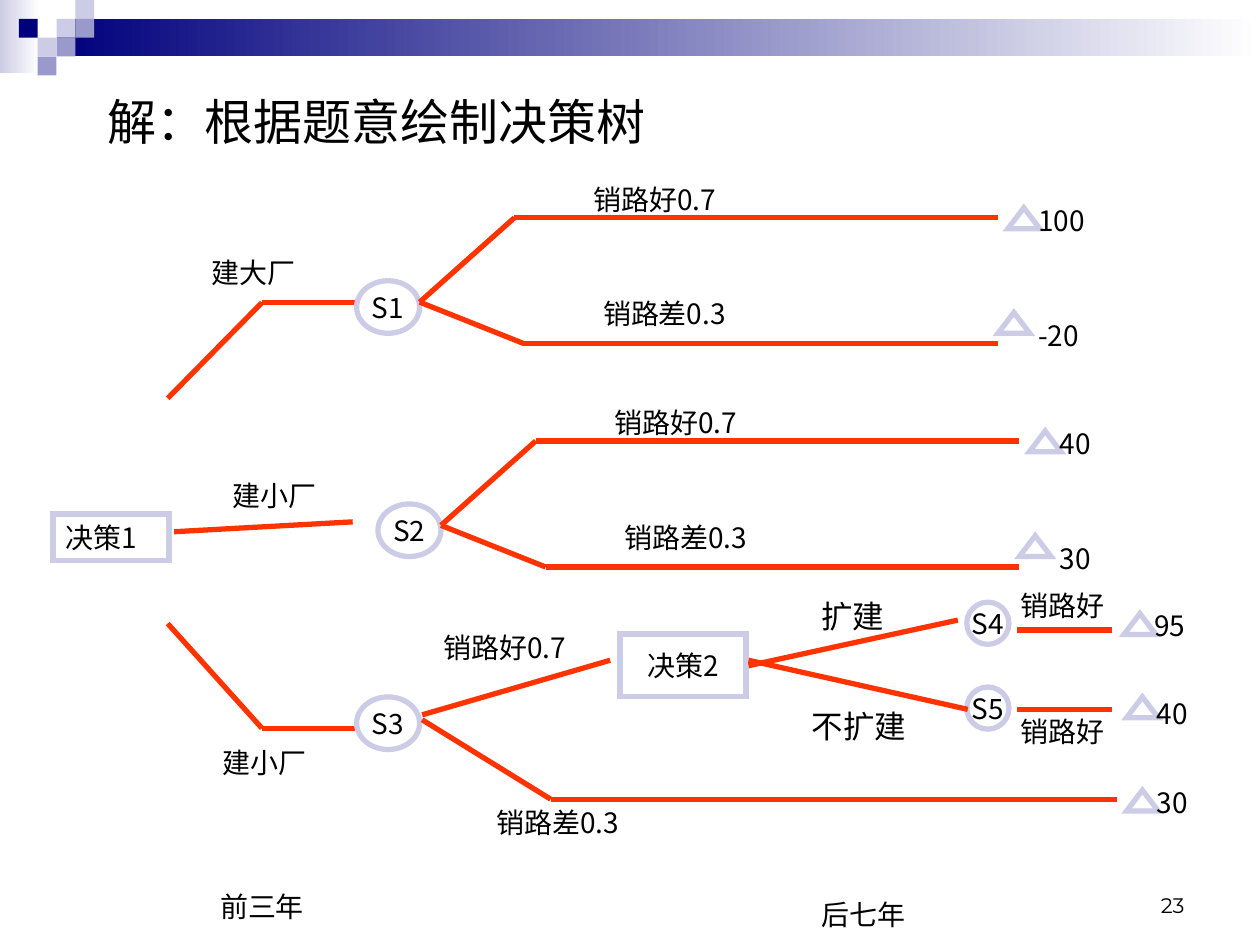
from dataclasses import dataclass
from itertools import pairwise

from lxml import etree
from pptx import Presentation
from pptx.dml.color import RGBColor
from pptx.enum.shapes import MSO_CONNECTOR, MSO_SHAPE
from pptx.enum.text import MSO_ANCHOR, MSO_AUTO_SIZE, PP_ALIGN
from pptx.oxml.ns import qn
from pptx.util import Cm, Pt

RECTANGLE, OVAL, TRIANGLE = (
    MSO_SHAPE.RECTANGLE, MSO_SHAPE.OVAL, MSO_SHAPE.ISOSCELES_TRIANGLE)
STRAIGHT = MSO_CONNECTOR.STRAIGHT
LEFT, CENTER, RIGHT = PP_ALIGN.LEFT, PP_ALIGN.CENTER, PP_ALIGN.RIGHT
TOP, MIDDLE, BOTTOM = MSO_ANCHOR.TOP, MSO_ANCHOR.MIDDLE, MSO_ANCHOR.BOTTOM
FIT_TEXT = MSO_AUTO_SIZE.SHAPE_TO_FIT_TEXT


@dataclass(frozen=True)
class Theme:
    ink: RGBColor = RGBColor(0, 0, 0)
    white: RGBColor = RGBColor(255, 255, 255)
    navy: RGBColor = RGBColor(0, 0, 0x7D)
    mid: RGBColor = RGBColor(0x99, 0x99, 0xCC)
    pale: RGBColor = RGBColor(0xCC, 0xCC, 0xE6)
    branch: RGBColor = RGBColor(0xFF, 0x33, 0)
    body_font: str = "Noto Sans CJK SC"
    title_font: str = "Karla"
    number_font: str = "Montserrat"
    title: int = 28
    choice: int = 18
    body: int = 16
    number: int = 12
    stroke: int = 3


THEME = Theme()


def write(shape, text, size=THEME.body, font=THEME.body_font, align=LEFT, anchor=TOP):
    frame = shape.text_frame
    frame.word_wrap = False
    frame.vertical_anchor = anchor
    para = frame.paragraphs[0]
    para.text = text
    para.alignment = align
    para.font.size = Pt(size)
    para.font.name = font
    para.font.color.rgb = THEME.ink
    latin = para.font._element.find(qn("a:latin"))
    east_asian = etree.Element(qn("a:ea"), typeface=THEME.body_font)
    latin.addnext(east_asian)


def add_label(page, left, top, text, width=2.3, height=0.94, **style):
    box = page.shapes.add_textbox(Cm(left), Cm(top), Cm(width), Cm(height))
    write(box, text, **style)
    box.text_frame.auto_size = FIT_TEXT


def add_block(page, kind, left, top, width, height, fill):
    block = page.shapes.add_shape(kind, Cm(left), Cm(top), Cm(width), Cm(height))
    block.shadow.inherit = False
    block.fill.solid()
    block.fill.fore_color.rgb = fill
    block.line.fill.background()
    return block


def add_node(page, kind, left, top, width, height, text="", align=CENTER, anchor=MIDDLE):
    """Place a white, pale-edged node of the tree with sharp corners."""
    node = add_block(page, kind, left, top, width, height, THEME.white)
    node.line.color.rgb = THEME.pale
    node.line.width = Pt(THEME.stroke)
    edge = node._element.spPr.find(qn("a:ln"))
    etree.SubElement(edge, qn("a:miter"), lim="800000")
    if text:
        write(node, text, align=align, anchor=anchor)


def add_branch(page, left, top, *points):
    """Join points, given relative to left and top, by straight lines."""
    for (x1, y1), (x2, y2) in pairwise(points):
        line = page.shapes.add_connector(
            STRAIGHT, Cm(left + x1), Cm(top + y1), Cm(left + x2), Cm(top + y2))
        line.line.color.rgb = THEME.branch
        line.line.width = Pt(THEME.stroke)
        etree.SubElement(line._element.spPr, qn("a:effectLst"))


def add_payoff(page, left, top, value, gap=0.36, rise=0.21):
    add_node(page, TRIANGLE, left, top, 0.64, 0.42)
    add_label(page, left + gap, top - rise, value, width=0.51 + 0.34 * len(value))


def add_header(page, left, top):
    fade = add_block(page, RECTANGLE, left, top, 0.79, 1.47, THEME.pale)
    bar = add_block(page, RECTANGLE, left + 1.14, top + 0.38, 24.26, 0.76, THEME.navy)
    for block, start in ((fade, THEME.pale), (bar, THEME.navy)):
        block.fill.gradient()
        block.fill.gradient_angle = 0
        for stop, color, position in zip(
                block.fill.gradient_stops, (start, THEME.white), (0, 1)):
            stop.color.rgb = color
            stop.position = position
    step = 0.38
    squares = {
        THEME.pale: ((3, 1), (4, 0), (2, 2)),
        THEME.mid: ((4, 1), (3, 2), (2, 3)),
        THEME.navy: ((1, 1),),
    }
    for color, cells in squares.items():
        for column, row in cells:
            add_block(page, RECTANGLE, left + column * step, top + row * step,
                      step, step, color)


def add_root(page, left, top):
    add_node(page, RECTANGLE, left, top, 2.34, 0.94, "决策1", align=LEFT, anchor=TOP)
    add_branch(page, left, top, (2.31, -2.33), (4.21, -4.26), (6.12, -4.26))
    add_branch(page, left, top, (2.44, 0.36), (6.04, 0.16))
    add_branch(page, left, top, (2.31, 2.21), (4.21, 4.32), (6.12, 4.32))


def add_chance(page, left, top, name, plan, good, poor):
    """Place a chance node with its good and poor sales outcomes."""
    add_node(page, OVAL, left, top, 1.27, 1.06, name)
    add_label(page, left - 3.18, top - 0.64, plan, width=2.54)
    add_branch(page, left, top, (1.27, 0.43), (3.18, -1.27), (12.93, -1.27))
    add_branch(page, left, top, (1.27, 0.43), (3.38, 1.27), (12.93, 1.27))
    add_label(page, left + 4.52, top - 2.11, "销路好0.7", width=3.35)
    add_label(page, left + 4.72, top + 0.2, "销路差0.3", width=3.35)
    add_payoff(page, left + 13.13, top - 1.47, good)
    add_payoff(page, left + 12.93, top + 0.64, poor, gap=0.56, rise=0)


def add_staged_chance(page, left, top):
    """Place the small-plant node whose good outcome leads to decision 2."""
    add_node(page, OVAL, left, top, 1.27, 1.06, "S3")
    add_label(page, left - 2.95, top + 0.86, "建小厂", width=2.54)
    add_branch(page, left, top, (1.32, 0.36), (5.11, -0.74))
    add_branch(page, left, top, (1.32, 0.46), (3.91, 2.06), (15.32, 2.06))
    add_label(page, left + 1.5, top - 1.47, "销路好0.7", width=3.35)
    add_label(page, left + 2.57, top + 2.06, "销路差0.3", width=3.35)
    add_payoff(page, left + 15.52, top + 1.88, "30")
    add_expansion(page, left + 5.31, top - 1.27)


def add_expansion(page, left, top):
    add_node(page, RECTANGLE, left, top, 2.54, 1.27, "决策2")
    outcomes = (("S4", -0.64, -0.08, -1.04, 10.16, -0.41, "95", 0.23),
                ("S5", 1.07, 1.52, 1.5, 10.21, 1.27, "40", 0.13))
    for name, node_y, line_y, label_y, payoff_x, payoff_y, value, rise in outcomes:
        add_node(page, OVAL, left + 6.99, top + node_y, 0.85, 0.85, name)
        add_branch(page, left, top, (8, line_y), (9.91, line_y))
        add_label(page, left + 7.82, top + label_y, "销路好")
        add_payoff(page, left + payoff_x, top + payoff_y, value, rise=rise)
    add_branch(page, left, top, (2.59, 0.64), (6.81, -0.28))
    add_branch(page, left, top, (2.59, 0.53), (7.01, 1.52))
    add_label(page, left + 3.81, top - 0.86, "扩建", 1.85, 1.02, size=THEME.choice)
    add_label(page, left + 3.61, top + 1.35, "不扩建", 2.5, 1.02, size=THEME.choice)


def add_footer(page, left, top):
    add_label(page, left, top, "前三年", font=THEME.title_font)
    add_label(page, left + 12.12, top + 0.15, "后七年", font=THEME.title_font)
    number = page.shapes.add_textbox(
        Cm(left + 14.02), Cm(top - 0.46), Cm(5.92), Cm(1.27))
    write(number, "23", THEME.number, THEME.number_font, RIGHT, BOTTOM)
    number.text_frame.word_wrap = True


def main():
    deck = Presentation()
    deck.slide_width, deck.slide_height = Cm(25.4), Cm(19.05)
    page = deck.slides.add_slide(deck.slide_layouts[6])
    add_header(page, 0, 0)
    add_label(page, 1.91, 1.73, "解：根据题意绘制决策树", 11.45, 1.45,
              size=THEME.title, font=THEME.title_font)
    add_root(page, 1.07, 10.36)
    add_chance(page, 7.19, 5.66, "S1", "建大厂", "100", "-20")
    add_chance(page, 7.62, 10.16, "S2", "建小厂", "40", "30")
    add_staged_chance(page, 7.19, 14.05)
    add_footer(page, 4.19, 17.81)
    deck.save("out.pptx")


if __name__ == "__main__":
    main()
